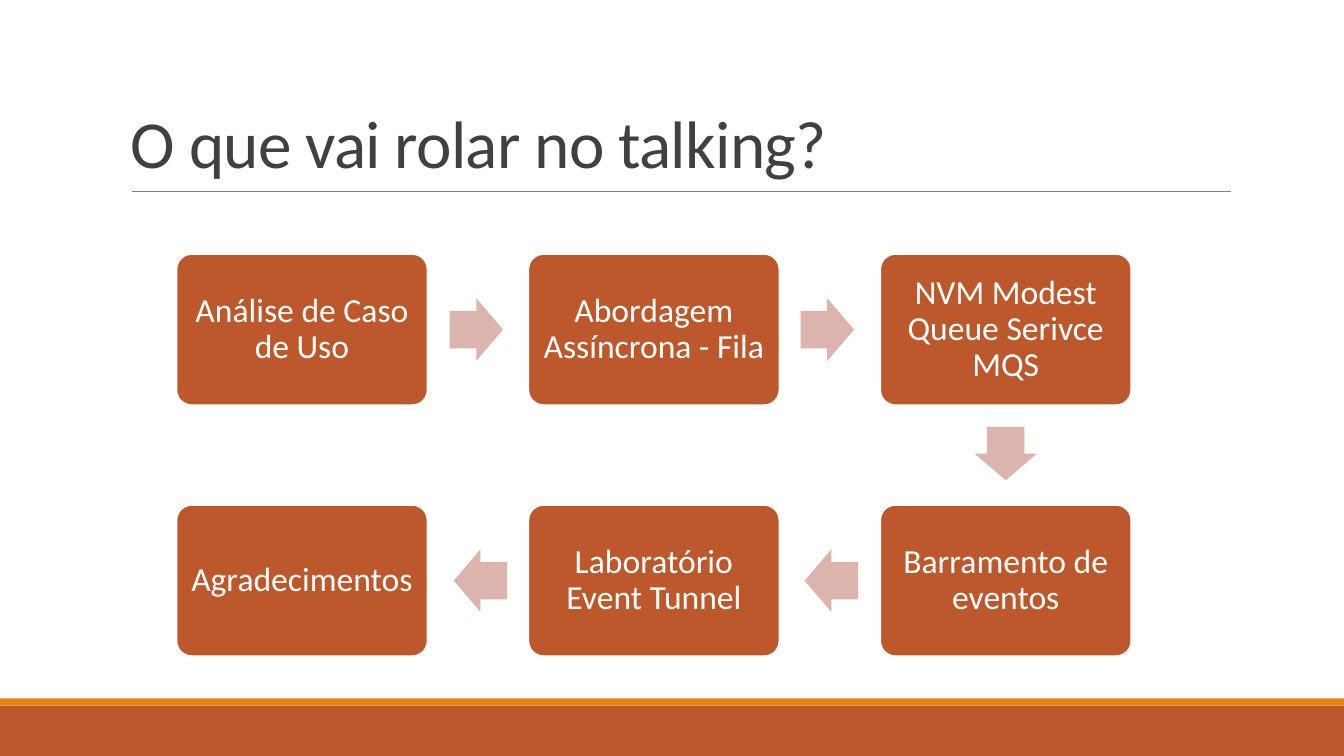
from dataclasses import dataclass

from lxml import etree
from pptx import Presentation
from pptx.dml.color import RGBColor
from pptx.enum.shapes import MSO_CONNECTOR, MSO_SHAPE
from pptx.enum.text import MSO_ANCHOR, PP_ALIGN
from pptx.oxml.ns import qn
from pptx.util import Emu, Pt

PX = 9144  # EMU per px, 100 px to the inch
WIDE, HIGH = 1333, 750

RECT = MSO_SHAPE.RECTANGLE
ROUND = MSO_SHAPE.ROUNDED_RECTANGLE
ARROW = MSO_SHAPE.RIGHT_ARROW
LINE = MSO_CONNECTOR.STRAIGHT
LEFT, CENTER = PP_ALIGN.LEFT, PP_ALIGN.CENTER
MIDDLE, BOTTOM = MSO_ANCHOR.MIDDLE, MSO_ANCHOR.BOTTOM

RUST = RGBColor(0xBD, 0x58, 0x2C)
AMBER = RGBColor(0xE4, 0x83, 0x12)
PINK = RGBColor(0xDB, 0xB5, 0xAD)
GRAY = RGBColor(0x80, 0x80, 0x80)
DARK = RGBColor(0x40, 0x40, 0x40)
WHITE = RGBColor(0xFF, 0xFF, 0xFF)

# Step grid and arrow sizes
BOX_W, BOX_H = 249, 150
LEFT_X, TOP_Y = 175, 252
STEP_X, STEP_Y = 349, 249
ARROW_W, ARROW_H = 53, 62
REACH = 48  # box edge to arrow centre
TURN = {(1, 0): 0, (0, 1): 90, (-1, 0): 180}


@dataclass(frozen=True)
class Step:
    text: str
    col: int
    row: int

    @property
    def x(self) -> int:
        return LEFT_X + self.col * STEP_X

    @property
    def y(self) -> int:
        return TOP_Y + self.row * STEP_Y


STEPS = [
    Step("Análise de Caso de Uso", 0, 0),
    Step("Abordagem Assíncrona - Fila", 1, 0),
    Step("NVM Modest Queue Serivce MQS", 2, 0),
    Step("Barramento de eventos", 2, 1),
    Step("Laboratório Event Tunnel", 1, 1),
    Step("Agradecimentos", 0, 1),
]


def px(*vals: int) -> list[Emu]:
    return [Emu(val * PX) for val in vals]


def add_block(slide, kind, x: int, y: int, w: int, h: int, fill: RGBColor):
    shape = slide.shapes.add_shape(kind, *px(x, y, w, h))
    shape.shadow.inherit = False
    shape.fill.solid()
    shape.fill.fore_color.rgb = fill
    shape.line.fill.background()
    return shape


def put_text(shape, text: str, *, size: int, color: RGBColor, align=LEFT,
             anchor=MIDDLE, space: float = 0.9, pad_x: int = 9,
             pad_y: int = 9, track: int = 0) -> None:
    frame = shape.text_frame
    frame.word_wrap = True
    frame.vertical_anchor = anchor
    frame.margin_left, frame.margin_right = px(pad_x, pad_x)
    frame.margin_top, frame.margin_bottom = px(pad_y, pad_y)
    para = frame.paragraphs[0]
    para.alignment = align
    para.line_spacing = space
    run = para.add_run()
    run.text = text
    run.font.name = "Calibri"
    run.font.size = Pt(size)
    run.font.color.rgb = color
    if track:
        run._r.get_or_add_rPr().set("spc", str(track))


def add_step(slide, step: Step) -> None:
    box = add_block(slide, ROUND, step.x, step.y, BOX_W, BOX_H, RUST)
    box.adjustments[0] = 0.1
    box.line.color.rgb = WHITE
    box.line.width = Pt(1.25)
    put_text(box, step.text, size=24, color=WHITE, align=CENTER)


def add_arrow(slide, step: Step, goal: Step) -> None:
    dx, dy = goal.col - step.col, goal.row - step.row
    mid_x = step.x + BOX_W / 2 + dx * (BOX_W / 2 + REACH)
    mid_y = step.y + BOX_H / 2 + dy * (BOX_H / 2 + REACH)
    x, y = round(mid_x - ARROW_W / 2), round(mid_y - ARROW_H / 2)
    arrow = add_block(slide, ARROW, x, y, ARROW_W, ARROW_H, PINK)
    arrow.adjustments[0] = 0.6
    arrow.adjustments[1] = 0.5
    arrow.rotation = TURN[dx, dy]


def main() -> None:
    deck = Presentation()
    deck.slide_width, deck.slide_height = px(WIDE, HIGH)
    slide = deck.slides.add_slide(deck.slide_layouts[6])

    # Footer bands
    add_block(slide, RECT, 0, 700, WIDE, 50, RUST)
    add_block(slide, RECT, 0, 693, WIDE, 7, AMBER)

    # Title and its rule
    rule = slide.shapes.add_connector(LINE, *px(131, 190, 1221, 190))
    rule.line.color.rgb = GRAY
    rule.line.width = Pt(0.5)
    etree.SubElement(rule._element.spPr, qn("a:effectLst"))
    title = slide.shapes.add_textbox(*px(120, 27, 1100, 159))
    put_text(title, "O que vai rolar no talking?", size=48, color=DARK,
             anchor=BOTTOM, space=0.85, pad_x=10, pad_y=5, track=-50)

    # Steps, then the arrows between neighbours
    for step in STEPS:
        add_step(slide, step)
    for step, goal in zip(STEPS, STEPS[1:]):
        add_arrow(slide, step, goal)

    deck.save("out.pptx")


if __name__ == "__main__":
    main()
